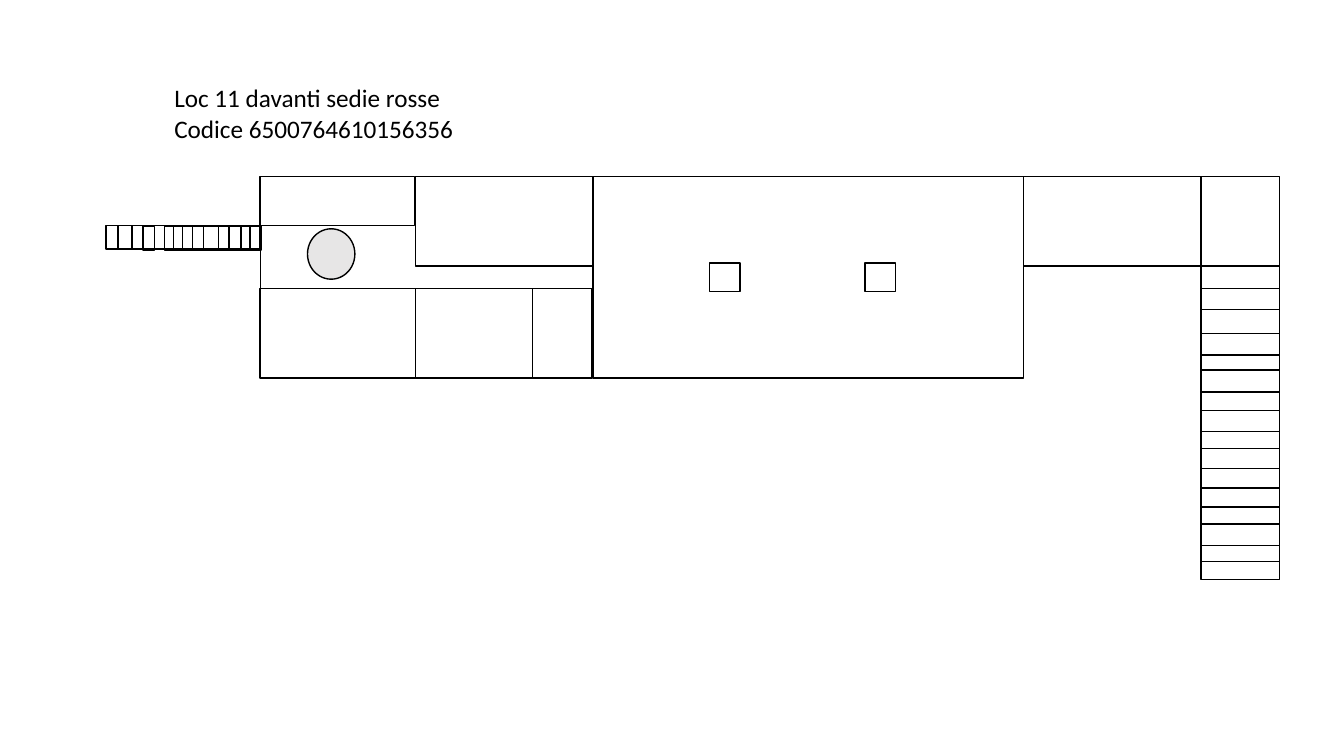
"""Draw a floor plan with two staircases and a marked location."""
from lxml import etree
from pptx import Presentation
from pptx.dml.color import RGBColor
from pptx.enum.shapes import MSO_CONNECTOR as CONNECTOR, MSO_SHAPE as SHAPE
from pptx.enum.text import MSO_AUTO_SIZE as AUTO_SIZE
from pptx.oxml.ns import qn
from pptx.util import Inches, Pt

COLORS = {"ink": "000000", "marker": "E7E6E6"}


class FloorPlan:
    """Hold the drawing style and the current slide."""

    font = "Calibri"
    text_size = 18
    wall_width = 1

    def __init__(self, slide):
        self.slide = slide

    def color(self, name):
        """Return the named colour."""
        return RGBColor.from_string(COLORS[name])

    def area(self, left, top, width, height, kind=SHAPE.RECTANGLE, fill=None):
        """Add an outlined area, hollow unless a fill is named."""
        area = self.slide.shapes.add_shape(
            kind, Inches(left), Inches(top), Inches(width), Inches(height))
        area.shadow.inherit = False
        if fill:
            area.fill.solid()
            area.fill.fore_color.rgb = self.color(fill)
        else:
            area.fill.background()
        area.line.color.rgb = self.color("ink")
        area.line.width = Pt(self.wall_width)

    def wall(self, x1, y1, x2, y2, width):
        """Add a straight wall line."""
        wall = self.slide.shapes.add_connector(
            CONNECTOR.STRAIGHT, Inches(x1), Inches(y1), Inches(x2), Inches(y2))
        wall.line.color.rgb = self.color("ink")
        wall.line.width = Pt(width)
        etree.SubElement(wall._element.spPr, qn("a:effectLst"))

    def label(self, left, top, width, height, lines):
        """Add an unwrapped text label, one paragraph per line."""
        frame = self.slide.shapes.add_textbox(
            Inches(left), Inches(top), Inches(width), Inches(height)).text_frame
        frame.word_wrap = False
        frame.auto_size = AUTO_SIZE.SHAPE_TO_FIT_TEXT
        frame.text = "\n".join(lines)
        for paragraph in frame.paragraphs:
            paragraph.font.name = self.font
            paragraph.font.size = Pt(self.text_size)
            paragraph.font.color.rgb = self.color("ink")


def main():
    """Build and save the floor plan."""
    deck = Presentation()
    deck.slide_width, deck.slide_height = Inches(13.33), Inches(7.5)
    plan = FloorPlan(deck.slides.add_slide(deck.slide_layouts[6]))

    north, south, room_depth = 1.75, 2.86, 0.89
    west, corridor, hall, hall_end, stair_x = 2.58, 4.12, 5.88, 10.15, 11.91
    stair_width = 0.78
    pillar_top, pillar_width, pillar_depth = 2.61, 0.3, 0.28

    rooms = [
        (stair_x, north, stair_width, 4),
        (hall_end, north, 1.76, room_depth),
        (hall, north, 4.27, 2),
        (7.04, pillar_top, pillar_width, pillar_depth),
        (8.58, pillar_top, pillar_width, pillar_depth),
        (5.28, south, 0.59, room_depth),
        (corridor, north, 1.76, room_depth),
        (corridor, south, 1.16, room_depth),
        (west, south, 1.54, room_depth),
        (west, north, 1.53, 0.49),
    ]
    for room in rooms:
        plan.area(*room)

    west_steps = [
        (1.05, 2.24, 1.53), (1.17, 2.24, 1.41), (1.31, 2.24, 0.11),
        (1.42, 2.25, 0.11), (1.63, 2.25, 0.96), (1.72, 2.25, 0.86),
        (1.81, 2.24, 0.77), (1.91, 2.24, 0.67), (2.02, 2.24, 0.15),
        (2.27, 2.24, 0.12), (2.48, 2.24, 0.11),
    ]
    for left, top, width in west_steps:
        plan.area(left, top, width, 0.23)

    plan.wall(west, 2, west, 3.31, 0.5)

    east_steps = [
        (3.31, 2.26), (3.07, 2.34), (2.86, 2.34), (2.64, 2.39),
        (3.52, 1.32), (3.67, 0.98), (3.89, 0.56), (4.07, 0.21),
    ]
    for top, height in east_steps:
        plan.area(stair_x, top, stair_width, height)

    plan.label(1.63, 0.77, 2.98, 0.71,
               ["Loc 11 davanti sedie rosse", "Codice 6500764610156356"])
    plan.area(3.05, 2.27, 0.47, 0.5, SHAPE.OVAL, "marker")

    deck.save("out.pptx")


if __name__ == "__main__":
    main()
